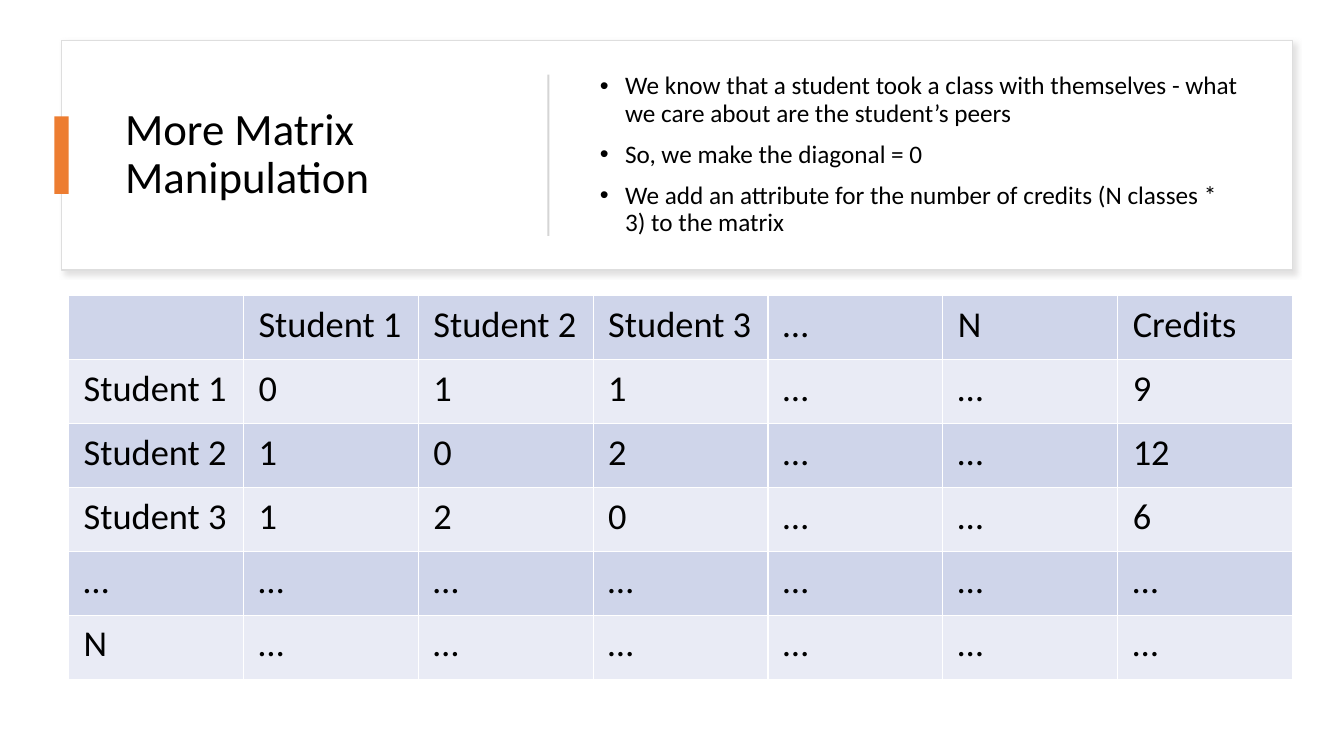
from dataclasses import dataclass

from lxml import etree
from pptx import Presentation
from pptx.dml.color import RGBColor
from pptx.enum.shapes import MSO_SHAPE
from pptx.enum.text import MSO_ANCHOR, MSO_AUTO_SIZE, PP_ALIGN
from pptx.oxml import parse_xml
from pptx.oxml.ns import nsdecls, qn
from pptx.util import Inches, Pt

RECT = MSO_SHAPE.RECTANGLE
MIDDLE = MSO_ANCHOR.MIDDLE
NO_AUTOFIT = MSO_AUTO_SIZE.NONE
LEFT = PP_ALIGN.LEFT


@dataclass(frozen=True)
class Theme:
    font: str = "Calibri"
    text: str = "000000"
    white: str = "FFFFFF"
    card_line: str = "DEDEDE"
    shadow: str = "C5C3C3"
    accent: str = "ED7D31"
    divider: str = "D5D5D5"
    bands: tuple = ("CFD5EA", "E9EBF5")
    title_size: int = 32
    body_size: int = 18
    table_size: int = 26


THEME = Theme()

TITLE = "More Matrix Manipulation"
BULLETS = [
    "We know that a student took a class with themselves - what we care about are the student’s peers",
    "So, we make the diagonal = 0",
    "We add an attribute for the number of credits (N classes * 3) to the matrix",
]
MATRIX = [
    ["", "Student 1", "Student 2", "Student 3", "…", "N", "Credits"],
    ["Student 1", "0", "1", "1", "…", "…", "9"],
    ["Student 2", "1", "0", "2", "…", "…", "12"],
    ["Student 3", "1", "2", "0", "…", "…", "6"],
    ["…"] * 7,
    ["N"] + ["…"] * 6,
]


def style_runs(p, size):
    for r in p.runs:
        r.font.name = THEME.font
        r.font.size = Pt(size)
        r.font.color.rgb = RGBColor.from_string(THEME.text)


def add_rect(slide, left, top, width, height, fill):
    sp = slide.shapes.add_shape(
        RECT, Inches(left), Inches(top), Inches(width), Inches(height))
    sp.shadow.inherit = False
    sp.fill.solid()
    sp.fill.fore_color.rgb = RGBColor.from_string(fill)
    sp.line.fill.background()
    return sp


def add_card_shadow(sp):
    effects = sp._element.spPr.find(qn("a:effectLst"))
    effects.append(parse_xml(
        f'<a:outerShdw {nsdecls("a")} blurRad="{Pt(4)}" dist="{Pt(3)}" '
        f'dir="{45 * 60000}" algn="tl" rotWithShape="0">'
        f'<a:srgbClr val="{THEME.shadow}"><a:alpha val="50000"/></a:srgbClr>'
        '</a:outerShdw>'))


def fill_placeholder(sp, left, top, width, height, lines, size):
    sp.left, sp.top = Inches(left), Inches(top)
    sp.width, sp.height = Inches(width), Inches(height)
    tf = sp.text_frame
    tf.text = "\n".join(lines)
    tf.word_wrap = True
    tf.auto_size = NO_AUTOFIT
    tf.vertical_anchor = MIDDLE
    for p in tf.paragraphs:
        p.alignment = LEFT
        p.line_spacing = 0.9
        style_runs(p, size)
    return tf


def add_bullet(p):
    p.space_before = Pt(10)
    pPr = p._p.get_or_add_pPr()
    pPr.set("marL", str(Inches(0.25)))
    pPr.set("indent", str(-Inches(0.25)))
    etree.SubElement(pPr, qn("a:buFont")).set("typeface", "Arial")
    etree.SubElement(pPr, qn("a:buChar")).set("char", "•")


def add_header(slide, left, top, width, height):
    # Card, sent behind the placeholders
    card = add_rect(slide, left, top, width, height, THEME.white)
    card.line.color.rgb = RGBColor.from_string(THEME.card_line)
    card.line.width = Pt(1)
    add_card_shadow(card)
    slide.shapes._spTree.insert(2, card._element)

    # Accent tab and divider, centred on the card's height
    middle = top + height / 2
    add_rect(slide, left - 0.07, middle - 0.385, 0.14, 0.77, THEME.accent)
    add_rect(slide, left + 4.82, middle - 0.8, 0.02, 1.6, THEME.divider)

    # Title and bullets
    text_top, text_height = top + 0.24, height - 0.48
    fill_placeholder(slide.shapes.title, left + 0.53, text_top, 3.89,
                     text_height, [TITLE], THEME.title_size)
    tf = fill_placeholder(slide.placeholders[1], left + 5.24, text_top, 6.56,
                          text_height, BULLETS, THEME.body_size)
    for p in tf.paragraphs:
        add_bullet(p)


def add_cell_borders(cell):
    tcPr = cell._tc.get_or_add_tcPr()
    for side in ("lnL", "lnR", "lnT", "lnB"):
        tcPr.append(parse_xml(
            f'<a:{side} {nsdecls("a")} w="{Pt(1)}"><a:solidFill>'
            f'<a:srgbClr val="{THEME.white}"/></a:solidFill></a:{side}>'))


def add_matrix(slide, left, top, width, height):
    n_rows, n_cols = len(MATRIX), len(MATRIX[0])
    table = slide.shapes.add_table(
        n_rows, n_cols, Inches(left), Inches(top),
        Inches(width), Inches(height)).table
    for i, values in enumerate(MATRIX):
        for j, value in enumerate(values):
            cell = table.cell(i, j)
            cell.text = value
            cell.margin_left = cell.margin_right = Inches(0.15)
            cell.margin_top = cell.margin_bottom = Inches(0.07)
            add_cell_borders(cell)
            cell.fill.solid()
            cell.fill.fore_color.rgb = RGBColor.from_string(THEME.bands[i % 2])
            p = cell.text_frame.paragraphs[0]
            style_runs(p, THEME.table_size)
            for r in p.runs:
                r.font.bold = False


def main():
    prs = Presentation()
    prs.slide_width, prs.slide_height = Inches(13.33), Inches(7.5)
    slide = prs.slides.add_slide(prs.slide_layouts[1])
    add_header(slide, 0.61, 0.4, 12.21, 2.28)
    add_matrix(slide, 0.68, 2.93, 12.14, 3.81)
    prs.save("out.pptx")


if __name__ == "__main__":
    main()
